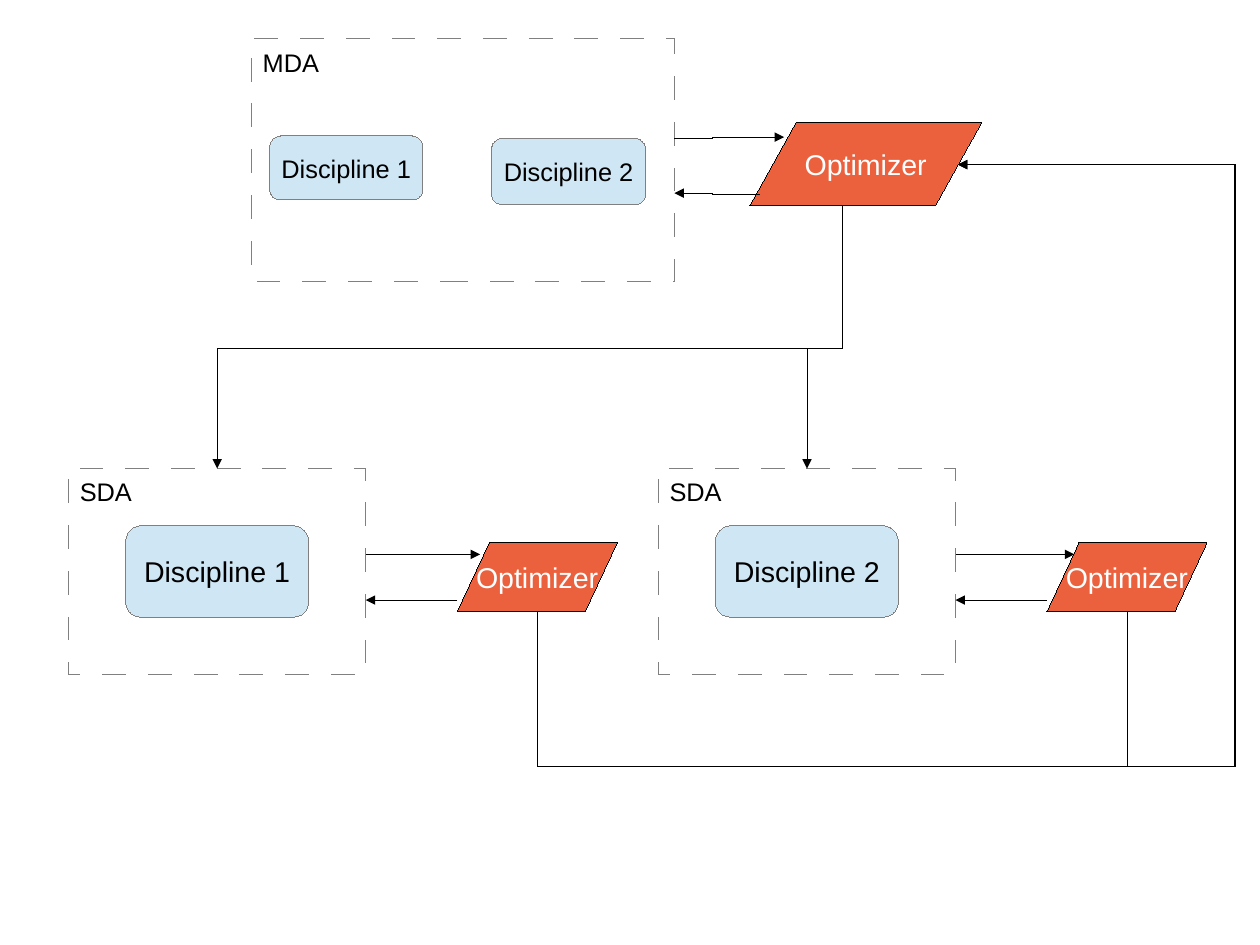
from pptx import Presentation
from pptx.dml.color import RGBColor
from pptx.enum import shapes as sh, text as tx
from pptx.oxml import ns
from pptx.util import Cm, Inches, Pt
from lxml import etree

COLORS = {"orange": "EB613D", "blue": "CFE7F5", "gray": "808080",
          "black": "000000", "white": "FFFFFF"}
KIND = sh.MSO_SHAPE
LINK = sh.MSO_CONNECTOR


def rgb(name):
    return RGBColor.from_string(COLORS[name])


def sub(node, tag, **attrs):
    return etree.SubElement(node, ns.qn(tag), **attrs)


def hairline(item, color):
    item.line.color.rgb = rgb(color)
    edge = item._element.spPr.find(ns.qn("a:ln"))
    edge.set("w", "0")
    return edge


def block(slide, kind, box, label, size, fill, edge, ink):
    """Add a labelled preset shape with a thin outline."""
    item = slide.shapes.add_shape(kind, *map(Inches, box))
    item.shadow.inherit = False
    if fill:
        item.fill.solid()
        item.fill.fore_color.rgb = rgb(fill)
    else:
        item.fill.background()
    hairline(item, edge)
    frame = item.text_frame
    frame.word_wrap = False
    frame.vertical_anchor = tx.MSO_ANCHOR.MIDDLE
    par = frame.paragraphs[0]
    par.text = label
    par.alignment = tx.PP_ALIGN.CENTER
    par.font.name, par.font.size = "Arial", Pt(size)
    par.font.color.rgb = rgb(ink)
    return item


def group(slide, box, label):
    """Add a dashed frame with its label at the top left."""
    item = block(slide, KIND.RECTANGLE, box, label, 16, None, "gray", "black")
    frame = item.text_frame
    frame.vertical_anchor = tx.MSO_ANCHOR.TOP
    frame.margin_top = Inches(0.07)
    frame.paragraphs[0].alignment = tx.PP_ALIGN.LEFT
    dash = sub(hairline(item, "gray"), "a:custDash")
    sub(dash, "a:ds", d="1885000", sp="1885000")


def task(slide, box, label, size):
    block(slide, KIND.ROUNDED_RECTANGLE, box, label, size,
          "blue", "gray", "black")


def solver(slide, box):
    block(slide, KIND.FLOWCHART_DATA, box, "Optimizer", 18,
          "orange", "black", "white")


def arrow(slide, start, end, kind=LINK.STRAIGHT):
    link = slide.shapes.add_connector(kind, *map(Inches, start + end))
    sub(hairline(link, "black"), "a:tailEnd", type="triangle")
    sub(link._element.spPr, "a:effectLst")
    return link


def bend(link, *ratios):
    """Set the bend points of an elbow as shares of its size."""
    geom = link._element.spPr.find(ns.qn("a:prstGeom"))
    geom.set("prst", f"bentConnector{len(ratios) + 2}")
    guides = geom.find(ns.qn("a:avLst"))
    for num, ratio in enumerate(ratios, 1):
        sub(guides, "a:gd", name=f"adj{num}",
            fmla=f"val {round(ratio * 100000)}")


def jog(slide, start, end, x):
    """Add an elbow that leaves sideways and steps at x."""
    link = arrow(slide, start, end, LINK.ELBOW)
    bend(link, (x - start[0]) / (end[0] - start[0]))


def route(slide, start, end, level, side=None, turn=90, flip=""):
    """Add an elbow that leaves downwards, turns at level, then at side."""
    (x1, y1), (x2, y2) = start, end
    wide, high = abs(y2 - y1), abs(x2 - x1)
    left, top = (x1 + x2 - wide) / 2, (y1 + y2 - high) / 2
    link = arrow(slide, (left, top), (left + wide, top + high), LINK.ELBOW)
    frame = link._element.spPr.find(ns.qn("a:xfrm"))
    frame.set("rot", str(turn * 60000))
    for axis in flip:
        frame.set(f"flip{axis}", "1")
    ratios = [(level - y1) / (y2 - y1)]
    if side is not None:
        ratios.append((side - x1) / (x2 - x1))
    bend(link, *ratios)


def main():
    deck = Presentation()
    deck.slide_width, deck.slide_height = Cm(28), Cm(21)
    slide = deck.slides.add_slide(deck.slide_layouts[6])

    # System level
    solver(slide, (6.56, 1.07, 2.03, 0.73))
    group(slide, (2.2, 0.34, 3.7, 2.12), "MDA")
    task(slide, (2.36, 1.19, 1.34, 0.56), "Discipline 1", 16)
    task(slide, (4.3, 1.21, 1.35, 0.58), "Discipline 2", 16)
    jog(slide, (5.9, 1.21), (6.86, 1.2), 6.23)
    jog(slide, (6.65, 1.7), (5.9, 1.69), 6.23)

    # Discipline level
    for num, (left, tip) in enumerate([(0.6, 4.2), (5.76, 9.4)], 1):
        edge = left + 2.6
        group(slide, (left, 4.1, 2.6, 1.8), "SDA")
        task(slide, (left + 0.5, 4.6, 1.6, 0.8), f"Discipline {num}", 18)
        solver(slide, (left + 3.4, 4.75, 1.4, 0.6))
        arrow(slide, (edge, 4.85), (tip, 4.85))
        arrow(slide, (edge + 0.8, 5.25), (edge, 5.25))
        route(slide, (7.37, 1.8), (left + 1.3, 4.1), 3.05)

    # Feedback to the system optimizer
    for x, turn, flip in [(4.7, 90, "HV"), (9.86, 270, "V")]:
        route(slide, (x, 5.35), (8.38, 1.44), 6.7, 10.8, turn, flip)

    deck.save("out.pptx")


if __name__ == "__main__":
    main()
